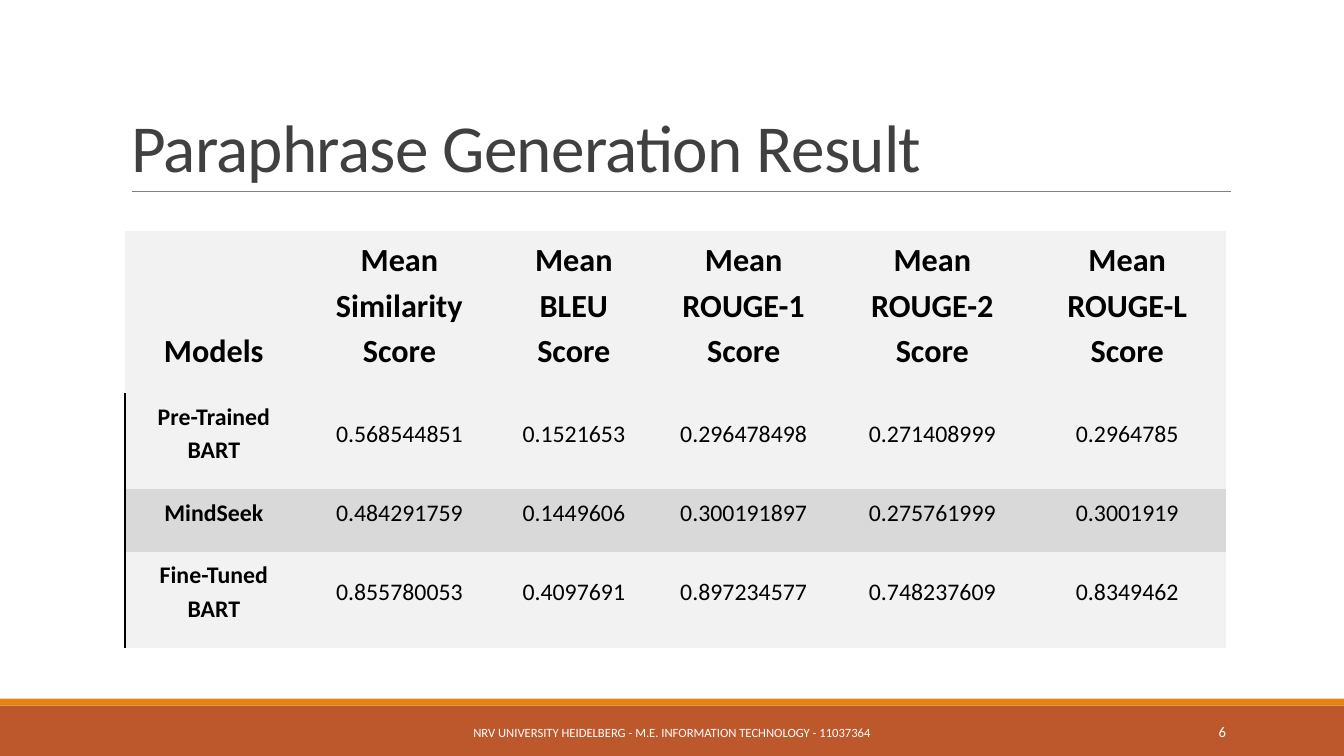
from lxml import etree
from pptx import Presentation
from pptx.dml.color import RGBColor
from pptx.enum.shapes import MSO_CONNECTOR, MSO_SHAPE
from pptx.enum.text import MSO_ANCHOR, MSO_AUTO_SIZE, PP_ALIGN
from pptx.oxml import parse_xml
from pptx.oxml.ns import nsdecls, qn
from pptx.util import Pt

TITLE = "Paraphrase Generation Result"
FOOTER = "NRV UNIVERSITY HEIDELBERG - M.E. INFORMATION TECHNOLOGY - 11037364"
SLIDE_NUMBER = "6"
SCORES = [
    ("Models", "Mean Similarity Score", "Mean BLEU Score",
     "Mean ROUGE-1 Score", "Mean ROUGE-2 Score", "Mean ROUGE-L Score"),
    ("Pre-Trained BART", "0.568544851", "0.1521653", "0.296478498", "0.271408999", "0.2964785"),
    ("MindSeek", "0.484291759", "0.1449606", "0.300191897", "0.275761999", "0.3001919"),
    ("Fine-Tuned BART", "0.855780053", "0.4097691", "0.897234577", "0.748237609", "0.8349462"),
]

# Lengths in points
SLIDE_WIDTH, SLIDE_HEIGHT = 960, 540
FOOTER_TOP, STRIPE_HEIGHT = 504, 5
COLUMN_WIDTHS = [127.6, 137.6, 111.6, 131, 138.6, 139.8]
ROW_HEIGHTS = [116, 68.6, 44.6, 68.6]
CELL_MARGINS = (7.2, 2.2, 7.9, 15.8)

FONT = "Calibri"
NO_STYLE_TABLE = "{2D5ABB26-0587-4C30-8999-92F81FD0307C}"
BLACK = RGBColor(0x00, 0x00, 0x00)
WHITE = RGBColor(0xFF, 0xFF, 0xFF)
RUST = RGBColor(0xBD, 0x58, 0x2C)
ORANGE = RGBColor(0xE4, 0x83, 0x12)
RULE_GRAY = RGBColor(0x80, 0x80, 0x80)
TITLE_GRAY = RGBColor(0x40, 0x40, 0x40)
LIGHT_ROW = RGBColor(0xF2, 0xF2, 0xF2)
DARK_ROW = RGBColor(0xD9, 0xD9, 0xD9)
RECTANGLE, STRAIGHT = MSO_SHAPE.RECTANGLE, MSO_CONNECTOR.STRAIGHT
TOP, MIDDLE, BOTTOM = MSO_ANCHOR.TOP, MSO_ANCHOR.MIDDLE, MSO_ANCHOR.BOTTOM
LEFT, CENTER, RIGHT = PP_ALIGN.LEFT, PP_ALIGN.CENTER, PP_ALIGN.RIGHT


def write(text_frame, text, size, color, alignment, line_spacing=1.0, space_after=0, bold=False):
    text_frame.text = text
    text_frame.word_wrap = True
    paragraph = text_frame.paragraphs[0]
    paragraph.alignment = alignment
    paragraph.line_spacing = line_spacing
    paragraph.space_after = Pt(space_after)
    font = paragraph.runs[0].font
    font.name, font.size, font.bold = FONT, Pt(size), bold
    font.color.rgb = color


def add_bar(slide, top, height, color):
    bar = slide.shapes.add_shape(RECTANGLE, 0, Pt(top), Pt(SLIDE_WIDTH), Pt(height))
    bar.shadow.inherit = False
    bar.fill.solid()
    bar.fill.fore_color.rgb = color
    bar.line.fill.background()


def add_title(slide):
    rule = slide.shapes.add_connector(STRAIGHT, Pt(94.3), Pt(136.8), Pt(879), Pt(136.8))
    rule.line.color.rgb = RULE_GRAY
    rule.line.width = Pt(0.5)
    etree.SubElement(rule._element.spPr, qn("a:effectLst"))

    title = slide.shapes.title
    title.left, title.top, title.width, title.height = Pt(86.4), Pt(22.3), Pt(792), Pt(114.5)
    write(title.text_frame, TITLE, 48, TITLE_GRAY, LEFT, line_spacing=0.85)
    title.text_frame.vertical_anchor = BOTTOM
    title.text_frame.auto_size = MSO_AUTO_SIZE.NONE
    title.text_frame.paragraphs[0].runs[0]._r.get_or_add_rPr().set("spc", "-50")


def add_footer_text(slide, text, left, width, size, alignment):
    box = slide.shapes.add_textbox(Pt(left), Pt(508.5), Pt(width), Pt(28.8))
    write(box.text_frame, text, size, WHITE, alignment, space_after=6)
    box.text_frame.vertical_anchor = MIDDLE


def add_left_border(cell):
    cell._tc.get_or_add_tcPr().insert(0, parse_xml(
        f'<a:lnL {nsdecls("a")} w="12700"><a:solidFill><a:srgbClr val="{BLACK}"/>'
        '</a:solidFill></a:lnL>'))


def add_score_table(slide):
    frame = slide.shapes.add_table(
        len(SCORES), len(COLUMN_WIDTHS), Pt(89.3), Pt(165),
        Pt(sum(COLUMN_WIDTHS)), Pt(sum(ROW_HEIGHTS)))
    table = frame.table
    table.first_row = table.horz_banding = False
    table._tbl.tblPr.find(qn("a:tableStyleId")).text = NO_STYLE_TABLE
    for column, width in zip(table.columns, COLUMN_WIDTHS):
        column.width = Pt(width)
    for row, height in zip(table.rows, ROW_HEIGHTS):
        row.height = Pt(height)

    for row_index, values in enumerate(SCORES):
        is_header = row_index == 0
        for column_index, value in enumerate(values):
            is_model = column_index == 0
            cell = table.cell(row_index, column_index)
            (cell.margin_left, cell.margin_top,
             cell.margin_right, cell.margin_bottom) = map(Pt, CELL_MARGINS)
            cell.vertical_anchor = BOTTOM if is_header else MIDDLE
            cell.fill.solid()
            cell.fill.fore_color.rgb = DARK_ROW if row_index == 2 else LIGHT_ROW
            write(cell.text_frame, value, 23 if is_header else 17, BLACK, CENTER,
                  line_spacing=1.15, space_after=10, bold=is_header or is_model)
            if is_model and not is_header:
                add_left_border(cell)


def main():
    presentation = Presentation()
    presentation.slide_width, presentation.slide_height = Pt(SLIDE_WIDTH), Pt(SLIDE_HEIGHT)
    slide = presentation.slides.add_slide(presentation.slide_layouts[5])
    add_bar(slide, FOOTER_TOP, SLIDE_HEIGHT - FOOTER_TOP, RUST)
    add_bar(slide, FOOTER_TOP - STRIPE_HEIGHT, STRIPE_HEIGHT, ORANGE)
    add_title(slide)
    add_footer_text(slide, FOOTER, 290.2, 379.4, 9, CENTER)
    add_footer_text(slide, SLIDE_NUMBER, 779.8, 103, 10.5, RIGHT)
    add_score_table(slide)
    presentation.save("out.pptx")


if __name__ == "__main__":
    main()
